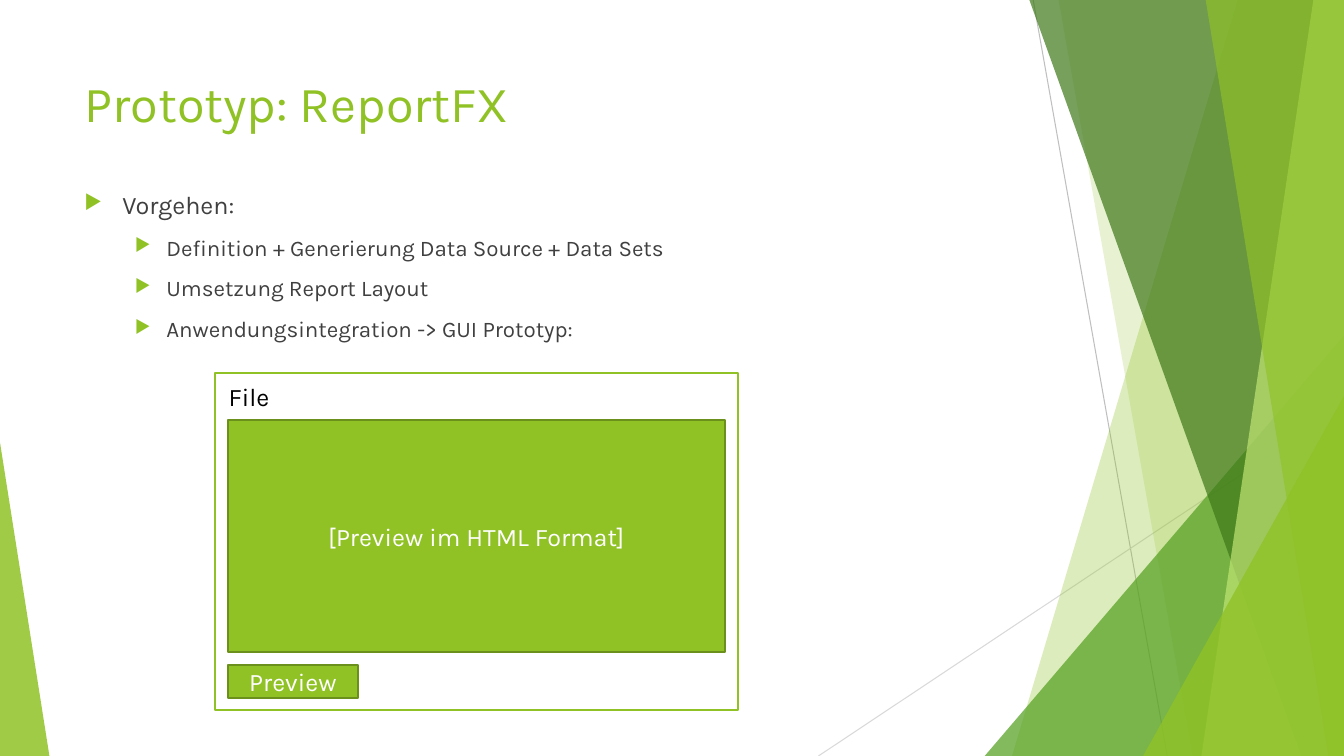
from dataclasses import dataclass

from lxml import etree
from pptx import Presentation
from pptx.dml import color
from pptx.enum import shapes, text
from pptx.oxml import ns
from pptx.util import Pt

WIDTH, HEIGHT = 960, 540
BAND_TOP = -0.6
FONT = "Karla"
GREEN, DARK_GREEN, GREY, WHITE, BLACK = "90C226", "6B901C", "404040", "FFFFFF", "000000"


@dataclass
class Line:
    start: tuple[float, float]
    end: tuple[float, float]
    colour: str


@dataclass
class Band:
    """A strip reaching from its slanted left edge to the slide's right edge."""
    top_x: float
    bottom_x: float
    colour: str
    alpha: int


@dataclass
class Triangle:
    """A triangle standing on the slide's bottom edge."""
    left: float
    top: float
    width: float
    apex: int
    colour: str
    alpha: int


@dataclass
class Box:
    left: float
    top: float
    width: float
    height: float
    fill: str
    line: str
    label: str = ""


@dataclass
class Bullet:
    label: str
    level: int


LINES = [
    Line((738, 0), (833.8, HEIGHT), "BFBFBF"),
    Line((WIDTH, 290.2), (584.6, HEIGHT), "D9D9D9"),
]
FACETS = [
    Band(884.2, 722.9, GREEN, 30),
    Band(756, 851.8, GREEN, 20),
    Triangle(703.4, 239.8, 256.6, 1, "54A021", 72),
    Band(735.1, 929.5, "3F7819", 70),
    Band(938.2, 858.2, "C0E474", 70),
    Band(861.1, 949, GREEN, 65),
    Triangle(816.5, 283, 143.5, 1, GREEN, 80),
    Triangle(0, 316.1, 35.3, 0, GREEN, 85),
]
BULLETS = [
    Bullet("Vorgehen:", 0),
    Bullet("Definition + Generierung Data Source + Data Sets", 1),
    Bullet("Umsetzung Report Layout", 1),
    Bullet("Anwendungsintegration -> GUI Prototyp:", 1),
]
BULLET_SIZES = (18, 16)
BULLET_MARGINS = ((27, -27), (58.5, -22.5))
MOCKUP = [
    Box(153.4, 266.4, 373.7, 240.5, WHITE, GREEN),
    Box(162.7, 300.2, 355, 165.6, GREEN, DARK_GREEN, "[Preview im HTML Format]"),
    Box(162.7, 474.8, 93, 23.8, GREEN, DARK_GREEN, "Preview"),
]


def rgb(value: str) -> color.RGBColor:
    return color.RGBColor.from_string(value)


def add_xml(parent, tag: str, **attributes: str):
    return etree.SubElement(parent, ns.qn(tag), attributes)


def format_text(p, size: float, colour: str) -> None:
    for r in p.runs:
        r.font.name = FONT
        r.font.size = Pt(size)
        r.font.color.rgb = rgb(colour)


def draw_line(s, line: Line) -> None:
    sp = s.shapes.add_connector(
        shapes.MSO_CONNECTOR.STRAIGHT, *map(Pt, line.start + line.end))
    sp.line.color.rgb = rgb(line.colour)
    sp.line.width = Pt(0.75)
    add_xml(sp._element.spPr, "a:effectLst")


def draw_facet(s, facet: Band | Triangle) -> None:
    if isinstance(facet, Band):
        corners = [(facet.top_x, BAND_TOP), (WIDTH, BAND_TOP),
                   (WIDTH, HEIGHT), (facet.bottom_x, HEIGHT)]
        outline = [(Pt(x), Pt(y)) for x, y in corners]
        builder = s.shapes.build_freeform(*outline[0])
        builder.add_line_segments(outline[1:], close=True)
        sp = builder.convert_to_shape()
    else:
        sp = s.shapes.add_shape(
            shapes.MSO_SHAPE.ISOSCELES_TRIANGLE, Pt(facet.left), Pt(facet.top),
            Pt(facet.width), Pt(HEIGHT - facet.top))
        sp.adjustments[0] = facet.apex
    sp.shadow.inherit = False
    sp.line.fill.background()
    sp.fill.solid()
    sp.fill.fore_color.rgb = rgb(facet.colour)
    fill_colour = sp._element.spPr.find(".//" + ns.qn("a:srgbClr"))
    add_xml(fill_colour, "a:alpha", val=str(facet.alpha * 1000))


def draw_box(s, box: Box) -> None:
    sp = s.shapes.add_shape(
        shapes.MSO_SHAPE.RECTANGLE, *map(Pt, (box.left, box.top, box.width, box.height)))
    sp.shadow.inherit = False
    sp.fill.solid()
    sp.fill.fore_color.rgb = rgb(box.fill)
    sp.line.color.rgb = rgb(box.line)
    sp.line.width = Pt(1.5)
    if box.label:
        tf = sp.text_frame
        tf.text = box.label
        tf.vertical_anchor = text.MSO_ANCHOR.MIDDLE
        tf.paragraphs[0].alignment = text.PP_ALIGN.CENTER
        format_text(tf.paragraphs[0], 18, WHITE)


def add_text(s, left: float, top: float, width: float, height: float, wrap: bool = True):
    tf = s.shapes.add_textbox(Pt(left), Pt(top), Pt(width), Pt(height)).text_frame
    tf.word_wrap = wrap
    return tf


def write_bullet(p, bullet: Bullet) -> None:
    p.text = bullet.label
    p.level = bullet.level
    p.space_before = Pt(10)
    format_text(p, BULLET_SIZES[bullet.level], GREY)
    margin, indent = BULLET_MARGINS[bullet.level]
    pPr = p._p.get_or_add_pPr()
    pPr.set("marL", str(Pt(margin)))
    pPr.set("indent", str(Pt(indent)))
    add_xml(add_xml(pPr, "a:buClr"), "a:srgbClr", val=GREEN)
    add_xml(pPr, "a:buSzPct", val="80000")
    add_xml(pPr, "a:buChar", char="▶")


def main() -> None:
    prs = Presentation()
    prs.slide_width, prs.slide_height = Pt(WIDTH), Pt(HEIGHT)
    s = prs.slides.add_slide(prs.slide_layouts[6])

    for line in LINES:
        draw_line(s, line)
    for facet in FACETS:
        draw_facet(s, facet)

    title = add_text(s, 53.3, 48.2, 676.8, 103.7)
    title.text = "Prototyp: ReportFX"
    format_text(title.paragraphs[0], 36, GREEN)

    body = add_text(s, 53.3, 131.8, 676.8, 305.3)
    for i, bullet in enumerate(BULLETS):
        write_bullet(body.add_paragraph() if i else body.paragraphs[0], bullet)

    for box in MOCKUP:
        draw_box(s, box)
    menu = add_text(s, 156.2, 268.6, 44.6, 28.8, wrap=False)
    menu.text = "File"
    menu.auto_size = text.MSO_AUTO_SIZE.SHAPE_TO_FIT_TEXT
    format_text(menu.paragraphs[0], 18, BLACK)

    prs.save("out.pptx")


if __name__ == "__main__":
    main()
